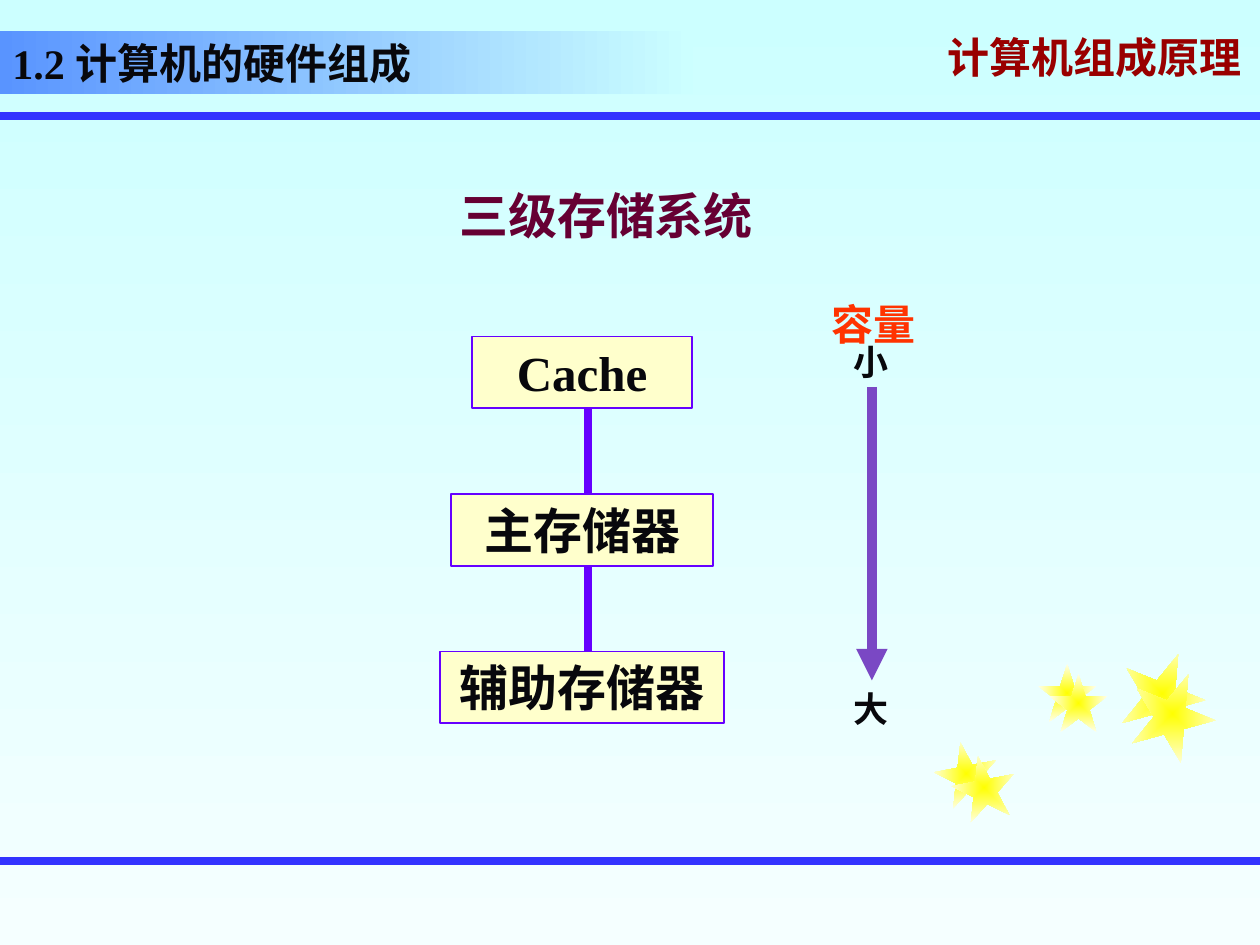
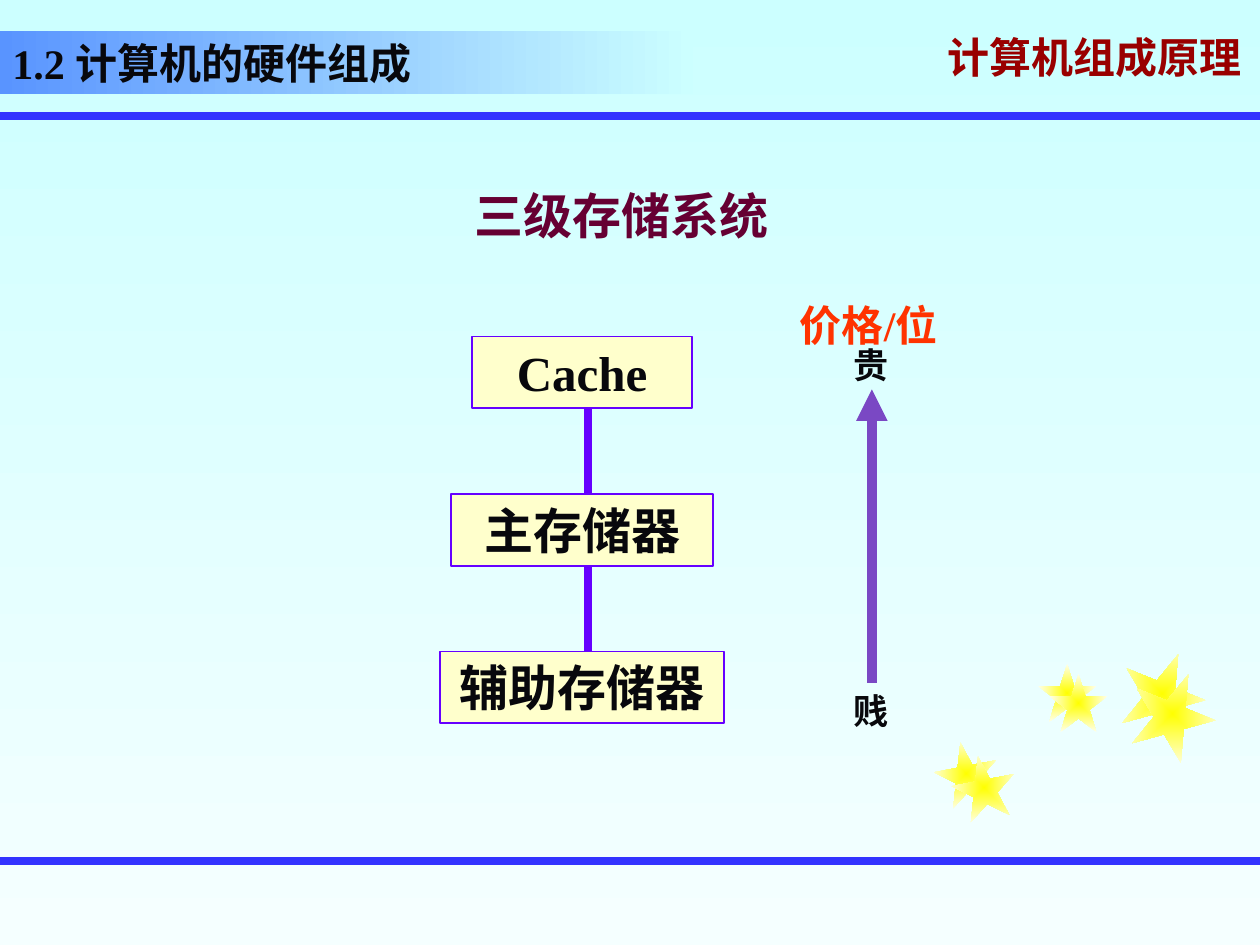
from lxml import etree
from pptx import Presentation
from pptx.dml.color import RGBColor
from pptx.enum import shapes, text
from pptx.oxml import parse_xml
from pptx.oxml.ns import nsdecls, qn
from pptx.util import Inches, Pt

# Content
COURSE = "计算机组成原理"
CHAPTER = "1.2 计算机的硬件组成"
HEADLINE = "三级存储系统"
LEVELS = [("Cache", 1.75), ("主存储器", 2.08), ("辅助存储器", 2.25)]  # name, box width
SCALES = [
    dict(measure="容量", measure_box=(6.5, 2.32, 1.08), headline_width=2.74,
         top="小", bottom="大", start=2.65, points_up=False),
    dict(measure="价格/位", measure_box=(6.25, 2.33, 1.5), headline_width=2.98,
         top="贵", bottom="贱", start=2.67, points_up=True),
]

# Shared style
LATIN, CJK = "Times New Roman", "Noto Sans CJK SC"
INK, RULE, LINK, ARROW = "08080C", "3333FF", "6600FF", "7A48C4"
BACKGROUND = ("CCFFFF", "F5FFFF")
BAND = ("5994FF", "CCFFFF")
STAR = ("FFFF00", "FFFFE9")
RULE_TOPS = (0.92, 6.83)
# left, top, size, rotation, offset of the twin star
STARS = [(7.42, 5.89, 0.5, 349, (0.14, 0.11)),
         (8.24, 5.27, 0.46, 0, (0.09, 0.08)),
         (8.89, 5.17, 0.67, 22, (0.08, 0.16))]

# Diagram geometry
LEVEL_CENTER, LEVEL_TOP, LEVEL_STEP, LEVEL_HEIGHT = 4.62, 2.67, 1.25, 0.57
LINK_X, ARROW_X = 4.67, 6.92


def rgb(color):
    return RGBColor.from_string(color)


def gradient(fill, colors, angle=0):
    fill.gradient()
    fill.gradient_angle = angle
    for stop, color in zip(fill.gradient_stops, colors):
        stop.color.rgb = rgb(color)


def write(shape, words, size, color=INK, font=LATIN, align=None, anchor="TOP", wrap=True):
    frame = shape.text_frame
    frame.text = words
    frame.word_wrap = wrap
    frame.vertical_anchor = getattr(text.MSO_ANCHOR, anchor)
    paragraph = frame.paragraphs[0]
    paragraph.alignment = align or text.PP_ALIGN.LEFT
    run = paragraph.runs[0]
    run.font.size, run.font.bold, run.font.name = Pt(size), True, font
    run.font.color.rgb = rgb(color)
    east_asian = etree.SubElement(run.font._element, qn("a:ea"))
    east_asian.set("typeface", CJK)
    return paragraph


def label(slide, box, words, size, **style):
    return write(slide.shapes.add_textbox(*map(Inches, box)), words, size, **style)


def preset(slide, kind, box):
    shape = slide.shapes.add_shape(kind, *map(Inches, box))
    shape.shadow.inherit = False
    shape.line.fill.background()
    return shape


def line(slide, start, end, color, width, arrow=False):
    connector = slide.shapes.add_connector(
        shapes.MSO_CONNECTOR.STRAIGHT, *map(Inches, (*start, *end)))
    connector.line.color.rgb = rgb(color)
    connector.line.width = Pt(width)
    if arrow:
        etree.SubElement(connector.line._get_or_add_ln(), qn("a:tailEnd")).set("type", "triangle")
    etree.SubElement(connector._element.spPr, qn("a:effectLst"))


def star(slide, left, top, size, rotation):
    shape = preset(slide, shapes.MSO_SHAPE.STAR_5_POINT, (left, top, size, size))
    shape.rotation = rotation
    gradient(shape.fill, STAR)
    # Let the gradient spread from the centre
    linear = shape._element.spPr.find(qn("a:gradFill")).find(qn("a:lin"))
    linear.getparent().replace(linear, parse_xml(
        f'<a:path {nsdecls("a")} path="rect">'
        '<a:fillToRect l="50000" t="50000" r="50000" b="50000"/></a:path>'))


def decorate(slide):
    gradient(slide.background.fill, BACKGROUND, 270)
    # Course name with a soft text shadow
    course = label(slide, (7.42, 0.25, 2.58, 0.5), COURSE, 24,
                   color="990000", font=CJK, anchor="MIDDLE")
    course.line_spacing = 0.7
    course.runs[0].font._element.find(qn("a:latin")).addprevious(parse_xml(
        f'<a:effectLst {nsdecls("a")}><a:outerShdw dist="28398" dir="2700000">'
        '<a:srgbClr val="808080"/></a:outerShdw></a:effectLst>'))
    for top in RULE_TOPS:
        line(slide, (0, top), (10, top), RULE, 4.5)
    # Stars, then their shifted twins
    for twin in (0, 1):
        for left, top, size, rotation, (dx, dy) in STARS:
            star(slide, left + twin * dx, top + twin * dy, size, rotation)
    # Chapter band
    band = preset(slide, shapes.MSO_SHAPE.RECTANGLE, (0, 0.25, 5.5, 0.5))
    gradient(band.fill, BAND)
    write(band, CHAPTER, 24, anchor="BOTTOM")


def draw_levels(slide):
    tops = [LEVEL_TOP + i * LEVEL_STEP for i in range(len(LEVELS))]
    for (name, width), top in zip(LEVELS, tops):
        level = preset(slide, shapes.MSO_SHAPE.RECTANGLE,
                       (LEVEL_CENTER - width / 2, top, width, LEVEL_HEIGHT))
        level.fill.solid()
        level.fill.fore_color.rgb = rgb("FFFFCC")
        level.line.color.rgb = rgb(LINK)
        level.line.width = Pt(1)
        write(level, name, 28, align=text.PP_ALIGN.CENTER)
    for upper, lower in zip(tops, tops[1:]):
        line(slide, (LINK_X, upper + LEVEL_HEIGHT), (LINK_X, lower), LINK, 4.5)


def draw_scale(slide, scale):
    center = dict(align=text.PP_ALIGN.CENTER, anchor="MIDDLE")
    label(slide, (3.44, 1.42, scale["headline_width"], 0.57), HEADLINE, 28,
          color="660033", font=CJK, **center)
    # Arrow between the two end labels
    start = scale["start"]
    ends = [(ARROW_X, start + 0.42), (ARROW_X, start + 2.75)]
    if scale["points_up"]:
        ends.reverse()
    line(slide, *ends, ARROW, 6, arrow=True)
    for words, top in ((scale["top"], start), (scale["bottom"], start + 2.75)):
        label(slide, (6.67, top, 0.48, 0.44), words, 20, wrap=False, **center)
    label(slide, (*scale["measure_box"], 0.5), scale["measure"], 24, color="FF3300")


def main():
    deck = Presentation()
    deck.slide_width, deck.slide_height = Inches(10), Inches(7.5)
    for scale in SCALES:
        slide = deck.slides.add_slide(deck.slide_layouts[6])
        decorate(slide)
        draw_levels(slide)
        draw_scale(slide, scale)
    deck.save("out.pptx")


if __name__ == "__main__":
    main()
